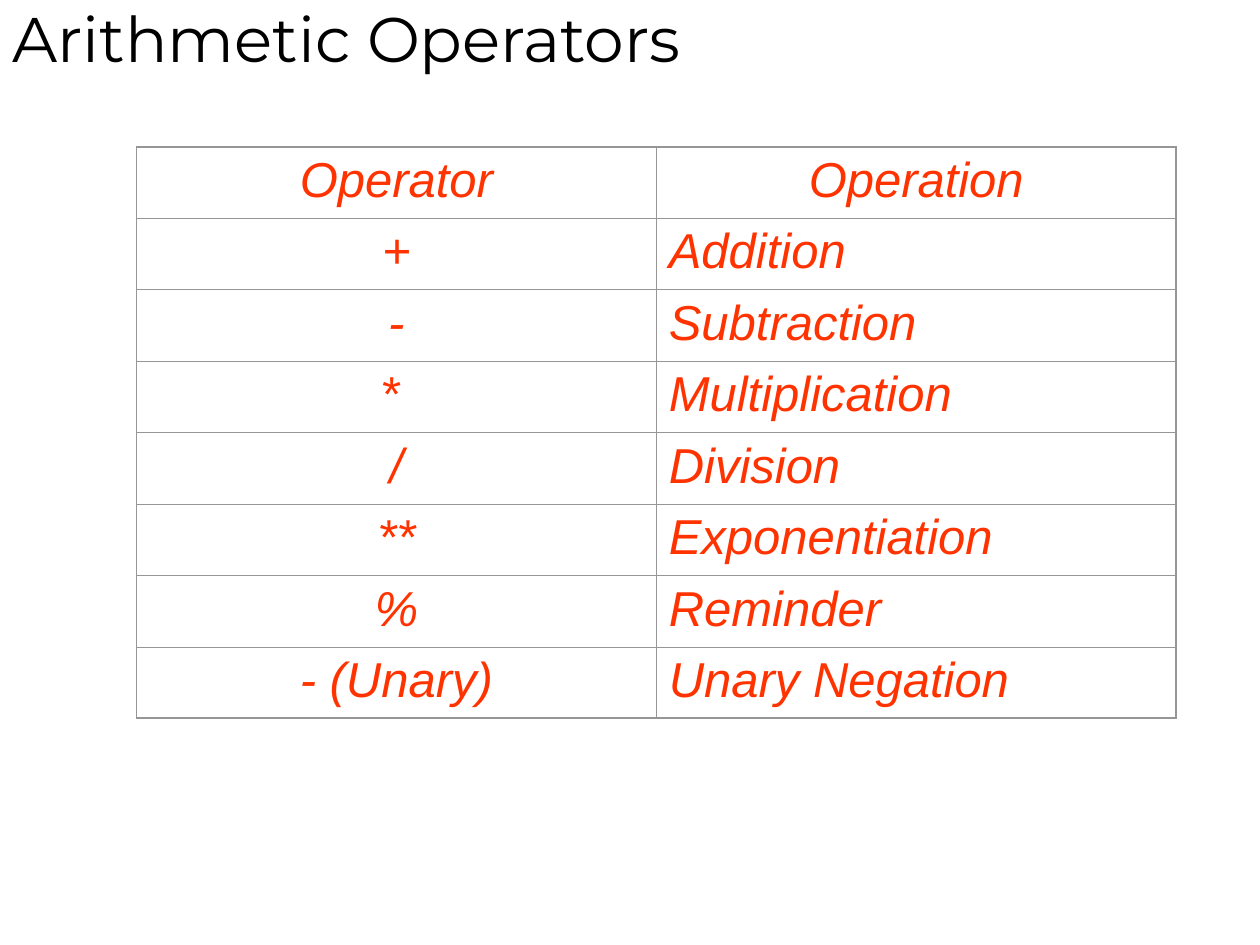
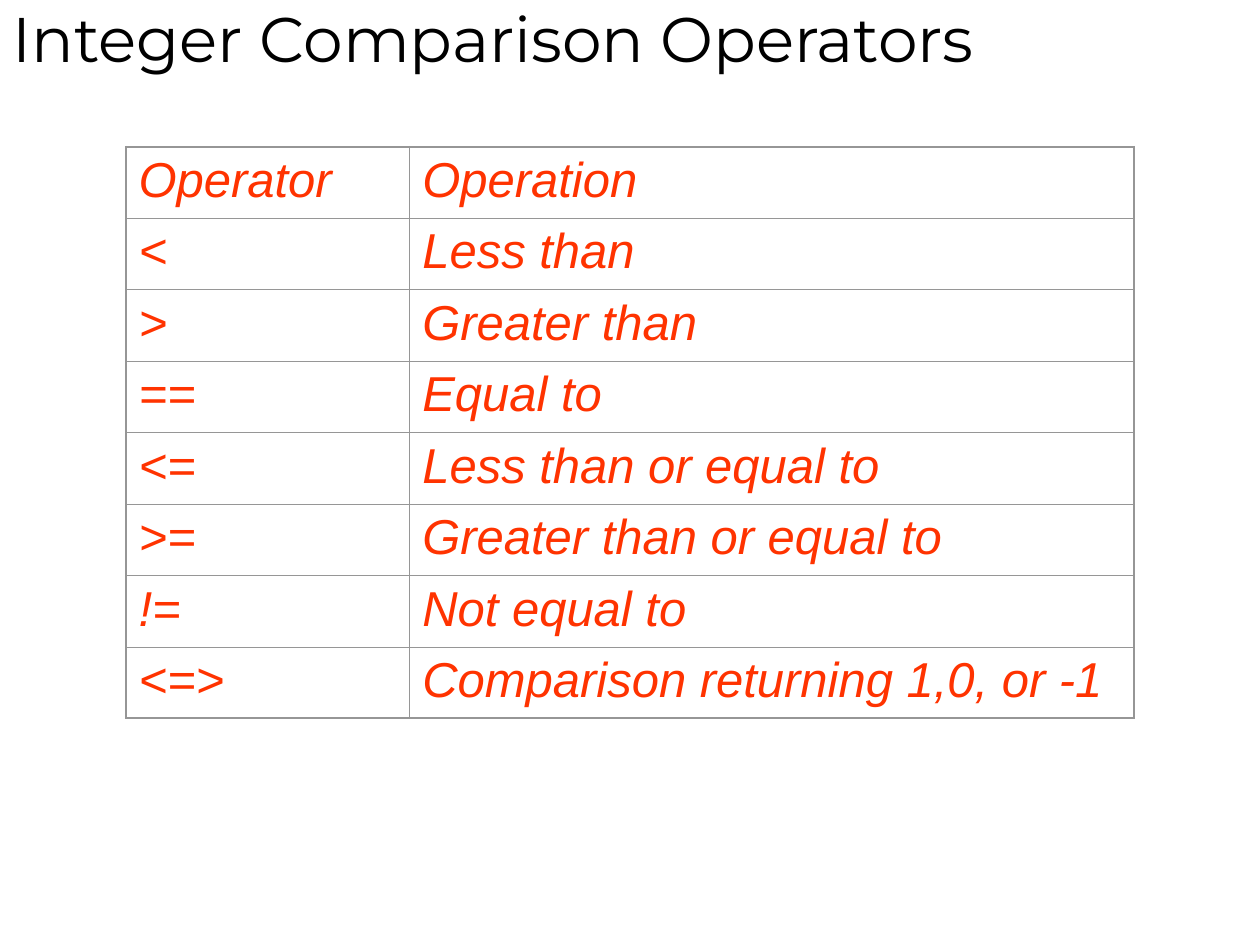
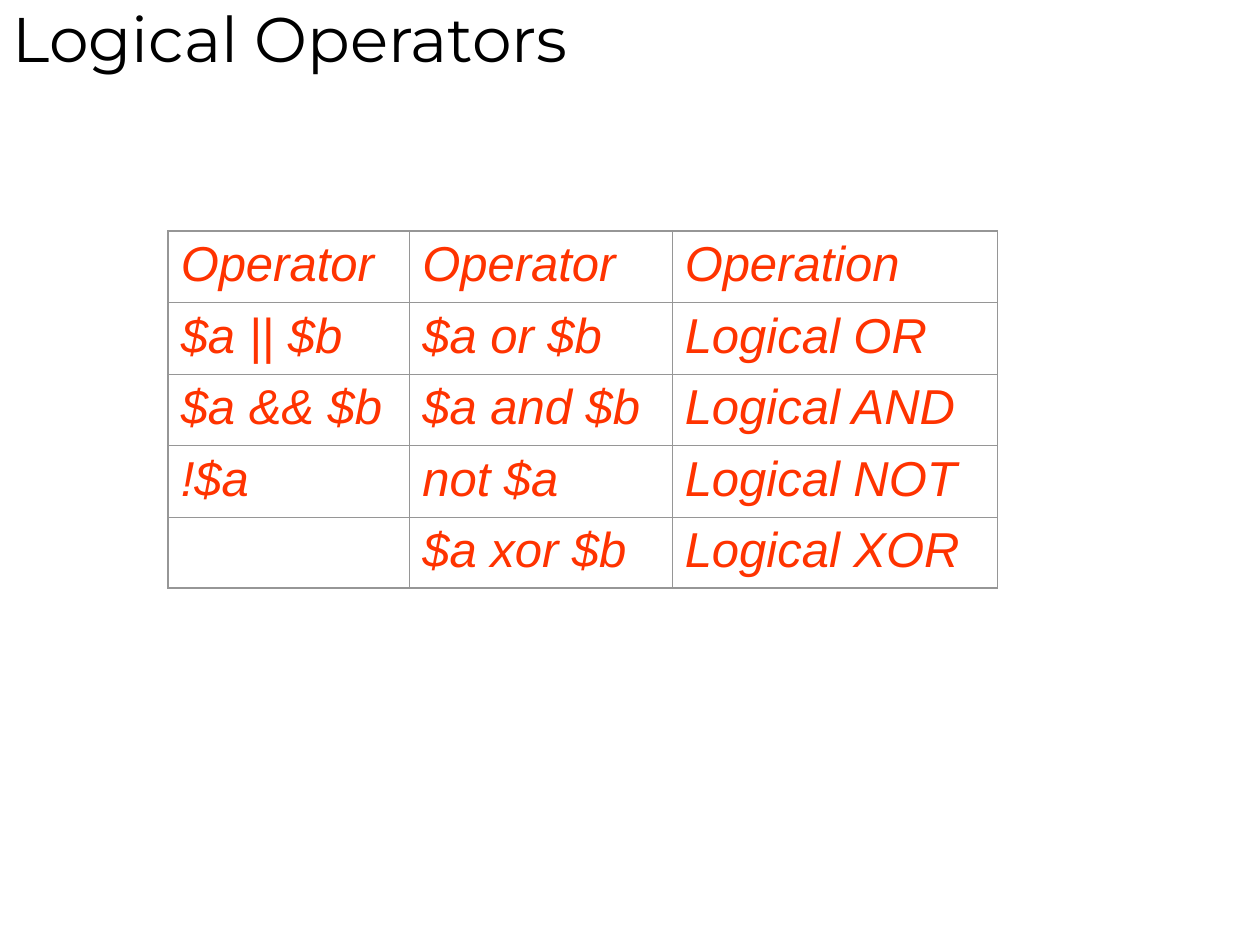
from dataclasses import dataclass

from lxml import etree
from pptx import Presentation
from pptx.dml.color import RGBColor
from pptx.enum import text
from pptx.oxml.ns import qn
from pptx.util import Cm, Pt


@dataclass(frozen=True)
class Theme:
    title_font: str = "Montserrat"
    title_size: Pt = Pt(36)
    title_color: RGBColor = RGBColor(0x00, 0x00, 0x00)
    table_font: str = "Arial"
    table_size: Pt = Pt(28)
    table_color: RGBColor = RGBColor(0xFF, 0x33, 0x00)
    border_color: str = "969696"
    inner_border: Pt = Pt(0.45)
    outer_border: Pt = Pt(1.08)
    row_height: Cm = Cm(1.44)


THEME = Theme()

# title, table left and top (cm), column widths (cm), operators centred, rows
OPERATOR_TABLES = [
    ("Arithmetic Operators", 2.75, 2.96, (10.48, 10.48), True, [
        ("Operator", "Operation"),
        ("+", "Addition"),
        ("-", "Subtraction"),
        ("* ", "Multiplication"),
        ("/", "Division"),
        ("**", "Exponentiation"),
        ("%", "Reminder"),
        ("- (Unary)", "Unary Negation"),
    ]),
    ("Integer Comparison Operators", 2.54, 2.96, (5.72, 14.6), False, [
        ("Operator", "Operation"),
        ("<", "Less than"),
        (">", "Greater than"),
        ("==", "Equal to"),
        ("<=", "Less than or equal to"),
        (">=", "Greater than or equal to"),
        ("!=", "Not equal to"),
        ("<=>", "Comparison returning 1,0, or -1"),
    ]),
    ("Logical Operators", 3.39, 4.66, (4.87, 5.29, 6.56), False, [
        ("Operator", "Operator", "Operation"),
        ("$a || $b", "$a or $b", "Logical OR"),
        ("$a && $b", "$a and $b", "Logical AND"),
        ("!$a", "not $a", "Logical NOT"),
        ("", "$a xor $b", "Logical XOR"),
    ]),
]


def set_font(paragraph, name, size, color, italic=False):
    font = paragraph.font
    font.name, font.size, font.italic = name, size, italic
    font.color.rgb = color


def set_borders(cell, outer_sides):
    """Draw all four borders, thicker on the sides flagged as outer."""
    properties = cell._tc.get_or_add_tcPr()
    for side, is_outer in outer_sides.items():
        width = THEME.outer_border if is_outer else THEME.inner_border
        line = etree.SubElement(properties, qn(f"a:ln{side}"), w=str(int(width)))
        fill = etree.SubElement(line, qn("a:solidFill"))
        etree.SubElement(fill, qn("a:srgbClr"), val=THEME.border_color)


presentation = Presentation()
presentation.slide_width, presentation.slide_height = Cm(25.4), Cm(19.05)
title_only = presentation.slide_layouts[5]

for heading, left, top, widths, centred, rows in OPERATOR_TABLES:
    slide = presentation.slides.add_slide(title_only)

    title = slide.shapes.title
    title.left, title.top = Cm(0), Cm(-0.2)
    title.width, title.height = presentation.slide_width, Cm(1.9)
    title.text_frame.text = heading
    title.text_frame.vertical_anchor = text.MSO_ANCHOR.MIDDLE
    paragraph = title.text_frame.paragraphs[0]
    paragraph.alignment = text.PP_ALIGN.LEFT
    set_font(paragraph, THEME.title_font, THEME.title_size, THEME.title_color)

    table = slide.shapes.add_table(
        len(rows), len(widths), Cm(left), Cm(top),
        Cm(sum(widths)), THEME.row_height * len(rows)).table
    table.first_row = table.horz_banding = False
    for column, width in zip(table.columns, widths):
        column.width = Cm(width)

    last_row, last_column = len(rows) - 1, len(widths) - 1
    for row_index, row in enumerate(rows):
        table.rows[row_index].height = THEME.row_height
        for column_index, label in enumerate(row):
            cell = table.cell(row_index, column_index)
            cell.text = label
            paragraph = cell.text_frame.paragraphs[0]
            if centred and (row_index == 0 or column_index == 0):
                paragraph.alignment = text.PP_ALIGN.CENTER
            set_font(paragraph, THEME.table_font, THEME.table_size,
                     THEME.table_color, italic=True)
            set_borders(cell, {
                "L": column_index == 0,
                "R": column_index == last_column,
                "T": row_index == 0,
                "B": row_index == last_row,
            })
            cell.fill.background()

presentation.save("out.pptx")
